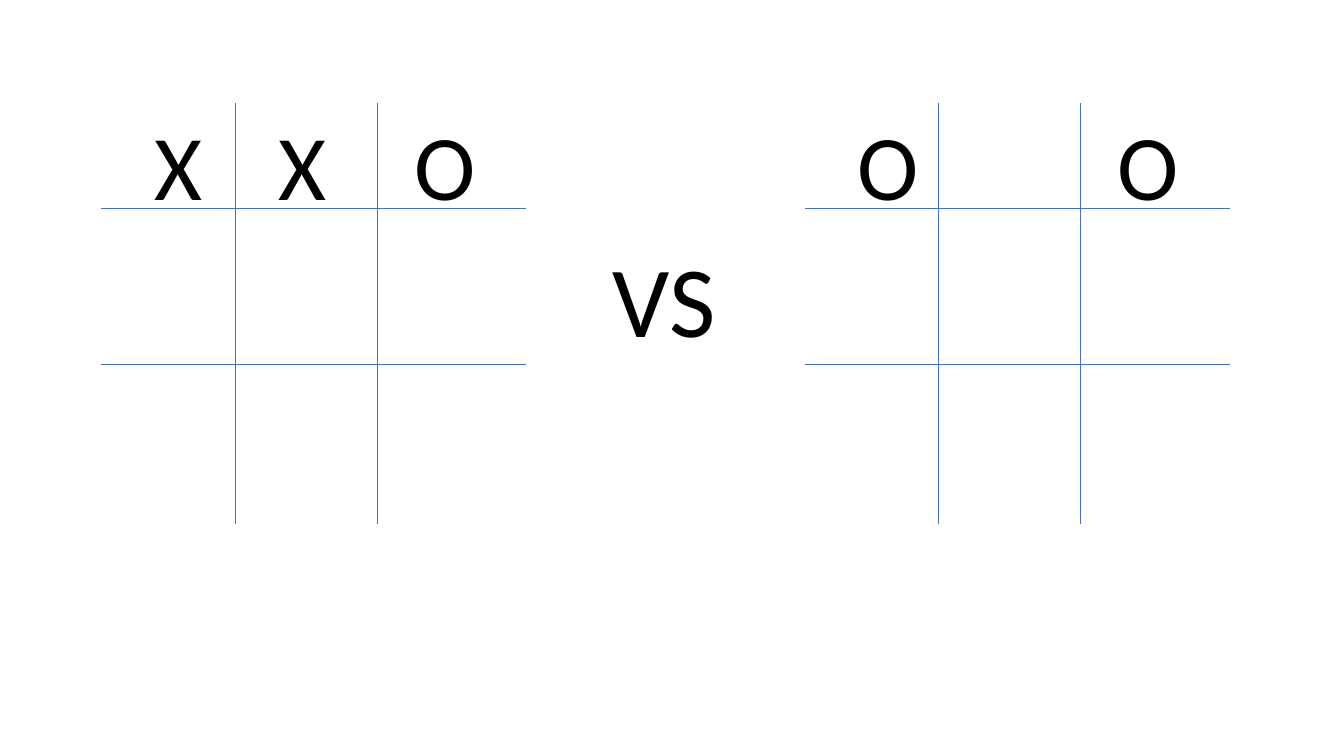
import lxml.etree
import pptx
import pptx.dml.color
import pptx.enum.shapes
import pptx.enum.text
import pptx.oxml.ns
import pptx.util

PX = 9144  # EMU per px, 100 px to the inch
COLORS = {"grid": "4472C4", "text": "000000"}
BOARD_SIZE = (422, 418)
COLUMN_LINES = (133, 274)
ROW_LINES = (105, 259)
MARK_LEFTS = (43, 166, 301)
MARK_SIZE = (83, 121)


def color(name):
    return pptx.dml.color.RGBColor.from_string(COLORS[name])


def add_line(slide, *ends):
    connector = slide.shapes.add_connector(
        pptx.enum.shapes.MSO_CONNECTOR.STRAIGHT, *(end * PX for end in ends))
    connector.line.color.rgb = color("grid")
    connector.line.width = pptx.util.Pt(0.5)
    properties = connector._element.spPr
    lxml.etree.SubElement(properties, pptx.oxml.ns.qn("a:effectLst"))


def add_label(slide, box, text, size):
    shape = slide.shapes.add_textbox(*(length * PX for length in box))
    frame = shape.text_frame
    frame.word_wrap = True
    frame.auto_size = pptx.enum.text.MSO_AUTO_SIZE.SHAPE_TO_FIT_TEXT
    run = frame.paragraphs[0].add_run()
    run.text = text
    run.font.color.rgb = color("text")
    font_format = {"name": "Calibri", "size": pptx.util.Pt(size)}
    for attribute, value in font_format.items():
        setattr(run.font, attribute, value)


def add_board(slide, box, top_row):
    left, top, width, height = box
    # Grid lines
    for offset in COLUMN_LINES:
        add_line(slide, left + offset, top, left + offset, top + height)
    for offset in ROW_LINES:
        add_line(slide, left, top + offset, left + width, top + offset)
    # Marks in the top row
    for offset, mark in zip(MARK_LEFTS, top_row):
        if mark:
            add_label(slide, (left + offset, top, *MARK_SIZE), mark, 66)


def main():
    presentation = pptx.Presentation()
    presentation.slide_width = 1333 * PX
    presentation.slide_height = 750 * PX
    slide = presentation.slides.add_slide(presentation.slide_layouts[6])

    # Left board, versus label, right board
    add_board(slide, (100, 102, *BOARD_SIZE), ("X", "X", "O"))
    add_label(slide, (598, 230, 165, 131), "VS", 72)
    add_board(slide, (798, 102, *BOARD_SIZE), ("O", None, "O"))

    presentation.save("out.pptx")


if __name__ == "__main__":
    main()
